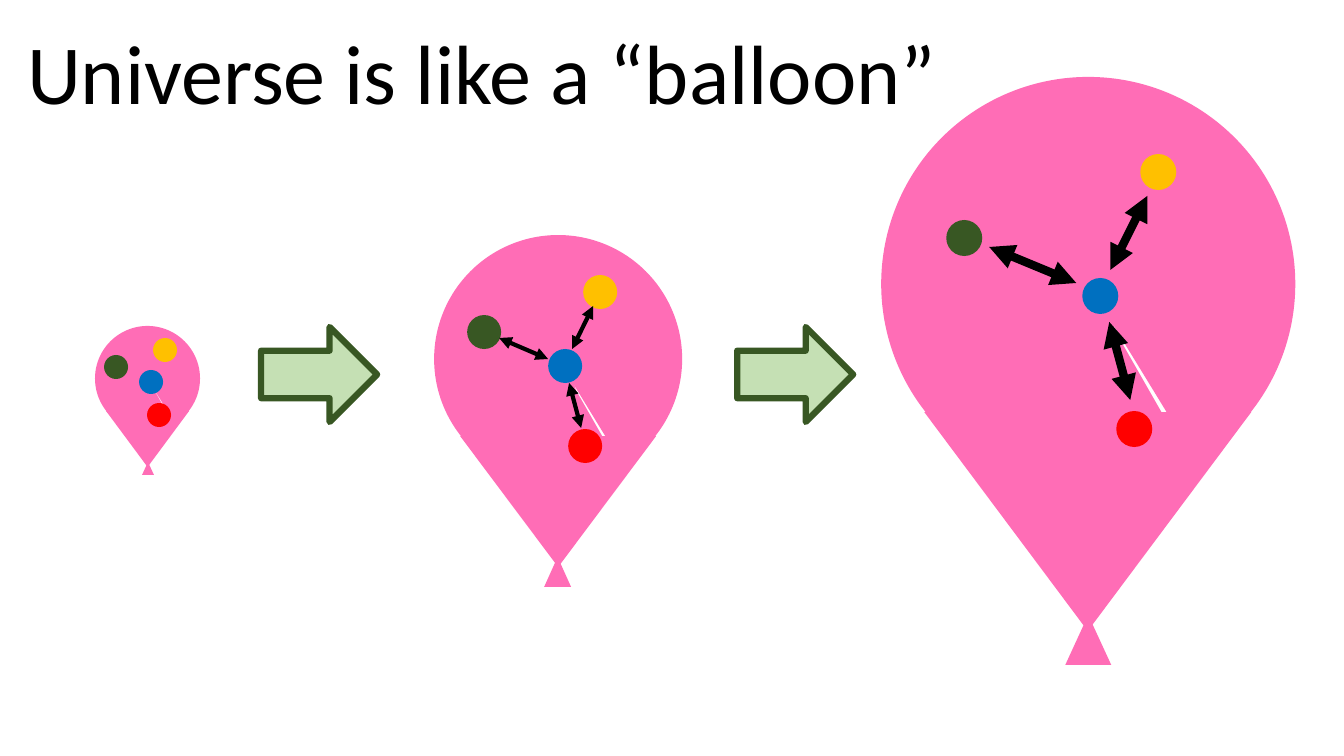
from lxml import etree
from pptx import Presentation
from pptx.dml.color import RGBColor
from pptx.enum.shapes import MSO_CONNECTOR, MSO_SHAPE
from pptx.enum.text import MSO_ANCHOR, PP_ALIGN
from pptx.oxml.ns import qn
from pptx.util import Inches, Pt

PX = Inches(1) / 100.8
TRIANGLE = MSO_SHAPE.ISOSCELES_TRIANGLE
ARC = MSO_SHAPE.ARC
OVAL = MSO_SHAPE.OVAL
RIGHT_ARROW = MSO_SHAPE.RIGHT_ARROW
STRAIGHT = MSO_CONNECTOR.STRAIGHT

BLACK = RGBColor(0x00, 0x00, 0x00)
PINK = RGBColor(0xFF, 0x6D, 0xB6)
YELLOW = RGBColor(0xFF, 0xC0, 0x00)
DARK_GREEN = RGBColor(0x38, 0x57, 0x23)
LIGHT_GREEN = RGBColor(0xC5, 0xE0, 0xB4)
RED = RGBColor(0xFF, 0x00, 0x00)
BLUE = RGBColor(0x00, 0x70, 0xC0)

# Galaxy centres as fractions of the balloon diameter
GALAXIES = [
    (0.67, 0.23, YELLOW),
    (0.2, 0.39, DARK_GREEN),
    (0.61, 0.85, RED),
    (0.53, 0.53, BLUE),
]
# left, top, diameter, galaxy size, arrow width in points, arrow ends
BALLOONS = [
    (95, 326, 105, 24, 0, []),
    (434, 235, 248, 34, 3,
     [(499, 338, 548, 359), (572, 349, 593, 306), (581, 428, 569, 383)]),
    (881, 77, 414, 36, 6,
     [(989, 247, 1076, 283), (1110, 270, 1147, 196), (1130, 400, 1109, 322)]),
]


def px(length):
    return round(round(length) * PX)


def add_filled(shapes, kind, left, top, width, height, color):
    shape = shapes.add_shape(kind, px(left), px(top), px(width), px(height))
    shape.shadow.inherit = False
    shape.fill.solid()
    shape.fill.fore_color.rgb = color
    shape.line.fill.background()
    return shape


presentation = Presentation()
presentation.slide_width = Inches(13.33)
presentation.slide_height = Inches(7.5)
slide = presentation.slides.add_slide(presentation.slide_layouts[5])

title = slide.shapes.title
title.left, title.top, title.width, title.height = px(17), px(15), px(936), px(112)
title.text_frame.word_wrap = False
title.text_frame.vertical_anchor = MSO_ANCHOR.TOP
paragraph = title.text_frame.paragraphs[0]
paragraph.alignment = PP_ALIGN.LEFT
run = paragraph.add_run()
run.text = "Universe is like a “balloon”"
run.font.name = "Calibri"
run.font.size = Pt(60)
run.font.color.rgb = BLACK

for left in (261, 737):
    step = add_filled(slide.shapes, RIGHT_ARROW, left, 327, 116, 95, LIGHT_GREEN)
    step.line.color.rgb = DARK_GREEN
    step.line.width = Pt(4.5)

for left, top, diameter, galaxy_size, arrow_width, arrows in BALLOONS:
    shapes = slide.shapes.add_group_shape().shapes
    middle = left + diameter / 2

    # Triangles: tapering body, knot, and the wedge closing the arc
    for width, offset, height, rotation in [
        (0.79, 0.81, 0.53, 180),
        (0.11, 1.3, 0.12, 0),
        (0.27, 0.38, 0.48, 0),
    ]:
        part = add_filled(shapes, TRIANGLE, middle - width * diameter / 2,
                          top + offset * diameter, width * diameter,
                          height * diameter, PINK)
        part.rotation = rotation

    head = add_filled(shapes, ARC, left, top, diameter, diameter, PINK)
    # Angles are stored in 60000ths of a degree, adjustments in 100000ths
    head.adjustments[0] = 60.26 * 0.6
    head.adjustments[1] = 58.56 * 0.6

    for x, y, color in GALAXIES:
        add_filled(shapes, OVAL, left + x * diameter - galaxy_size / 2,
                   top + y * diameter - galaxy_size / 2,
                   galaxy_size, galaxy_size, color)

    for ends in arrows:
        arrow = shapes.add_connector(STRAIGHT, *[px(end) for end in ends])
        arrow.line.color.rgb = BLACK
        arrow.line.width = Pt(arrow_width)
        line = arrow.line._get_or_add_ln()
        for tag in ("a:headEnd", "a:tailEnd"):
            etree.SubElement(line, qn(tag), type="triangle")
        etree.SubElement(arrow._element.spPr, qn("a:effectLst"))

presentation.save("out.pptx")
